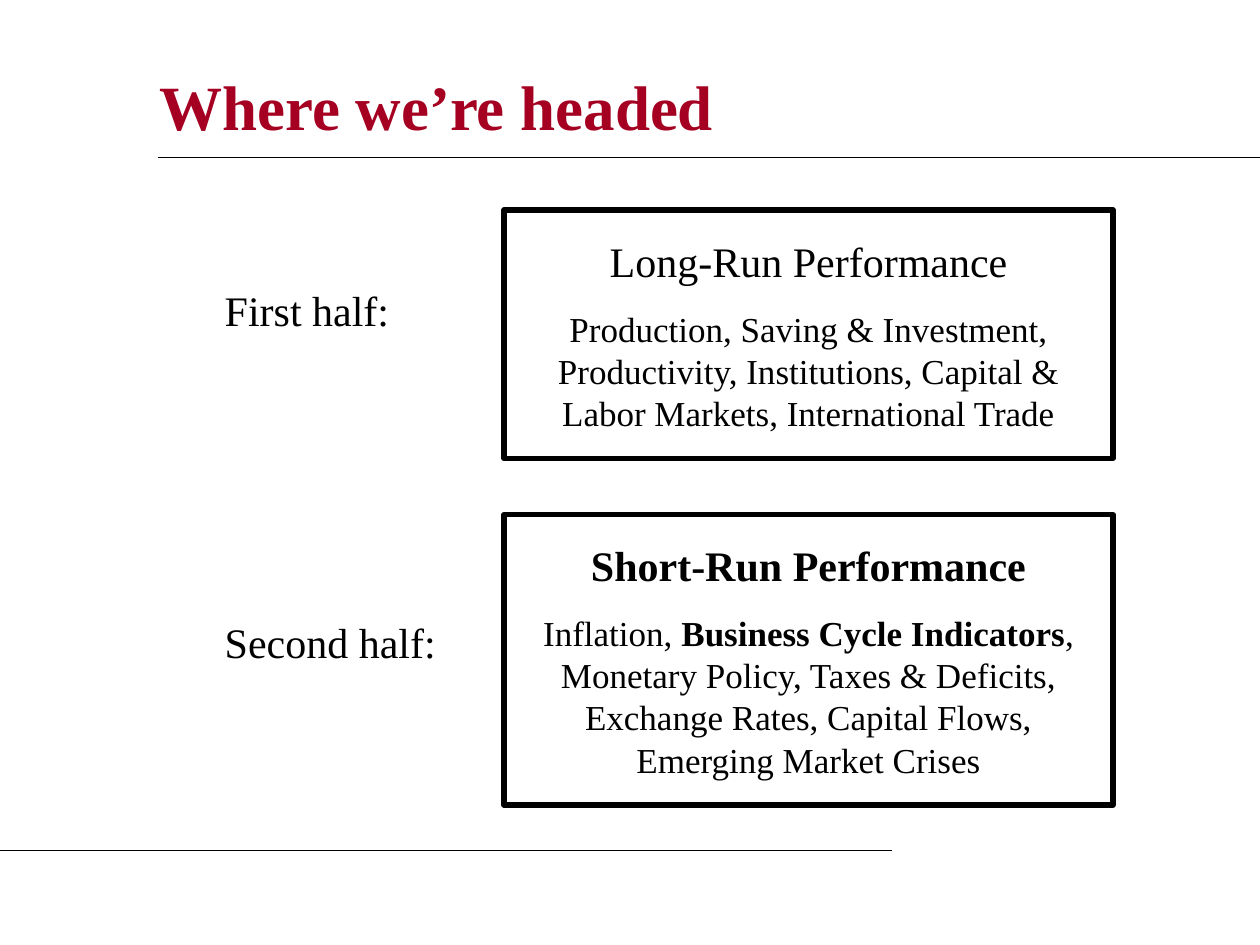
from pptx import Presentation
from pptx.dml.color import RGBColor
from pptx.enum.shapes import MSO_CONNECTOR, MSO_SHAPE
from pptx.enum.text import MSO_ANCHOR, PP_ALIGN
from pptx.oxml.ns import qn
from pptx.util import Pt
from lxml import etree

CRIMSON = RGBColor(0xA5, 0x00, 0x21)
BLACK = RGBColor(0x00, 0x00, 0x00)
FONT = "Times New Roman"
RECTANGLE = MSO_SHAPE.RECTANGLE
STRAIGHT = MSO_CONNECTOR.STRAIGHT
TOP, MIDDLE = MSO_ANCHOR.TOP, MSO_ANCHOR.MIDDLE
CENTER, LEFT = PP_ALIGN.CENTER, PP_ALIGN.LEFT


def set_frame(shape, inset, anchor):
    frame = shape.text_frame
    frame.word_wrap = True
    frame.vertical_anchor = anchor
    frame.margin_left = frame.margin_right = Pt(inset)
    frame.margin_top = frame.margin_bottom = Pt(inset)
    return frame


def write(paragraph, runs, size, alignment=LEFT, color=BLACK):
    for text, bold in runs:
        run = paragraph.add_run()
        run.text = text
        run.font.bold = bold
    paragraph.alignment = alignment
    paragraph.font.name = FONT
    paragraph.font.size = Pt(size)
    paragraph.font.color.rgb = color


presentation = Presentation()
presentation.slide_width = Pt(720)
presentation.slide_height = Pt(540)
slide = presentation.slides.add_slide(presentation.slide_layouts[6])
shapes = slide.shapes

title = shapes.add_textbox(Pt(84), Pt(30), Pt(582), Pt(60))
title_frame = set_frame(title, 7.2, MIDDLE)
write(title_frame.paragraphs[0], [("Where we’re headed", True)], 36, color=CRIMSON)

for start, end, height in [(90, 720, 90), (0, 510, 486)]:
    rule = shapes.add_connector(STRAIGHT, Pt(start), Pt(height), Pt(end), Pt(height))
    rule.line.color.rgb = BLACK
    rule.line.width = Pt(0.75)
    etree.SubElement(rule._element.spPr, qn("a:effectLst"))

topics = [
    (120, 142, [("Long-Run Performance", False)],
     [("Production, Saving & Investment, Productivity, Institutions, "
       "Capital & Labor Markets, International Trade", False)]),
    (294, 166, [("Short-Run Performance", True)],
     [("Inflation, ", False), ("Business Cycle Indicators", True),
      (", Monetary Policy, Taxes & Deficits, Exchange Rates, "
       "Capital Flows, Emerging Market Crises", False)]),
]
for top, height, heading, details in topics:
    box = shapes.add_shape(RECTANGLE, Pt(288), Pt(top), Pt(348), Pt(height))
    box.shadow.inherit = False
    box.fill.background()
    box.line.color.rgb = BLACK
    box.line.width = Pt(3)
    frame = set_frame(box, 14.4, TOP)
    write(frame.paragraphs[0], heading, 24, CENTER)
    paragraph = frame.add_paragraph()
    paragraph.space_before = Pt(12.5)
    write(paragraph, details, 20, CENTER)

halves = [("First half:", 168, 43, 0.5), ("Second half:", 338, 58, 1.0)]
for text, top, height, spacing in halves:
    label = shapes.add_textbox(Pt(114), Pt(top), Pt(168), Pt(height))
    paragraph = set_frame(label, 14.4, TOP).paragraphs[0]
    paragraph.line_spacing = spacing
    write(paragraph, [(text, False)], 24)

presentation.save("out.pptx")
